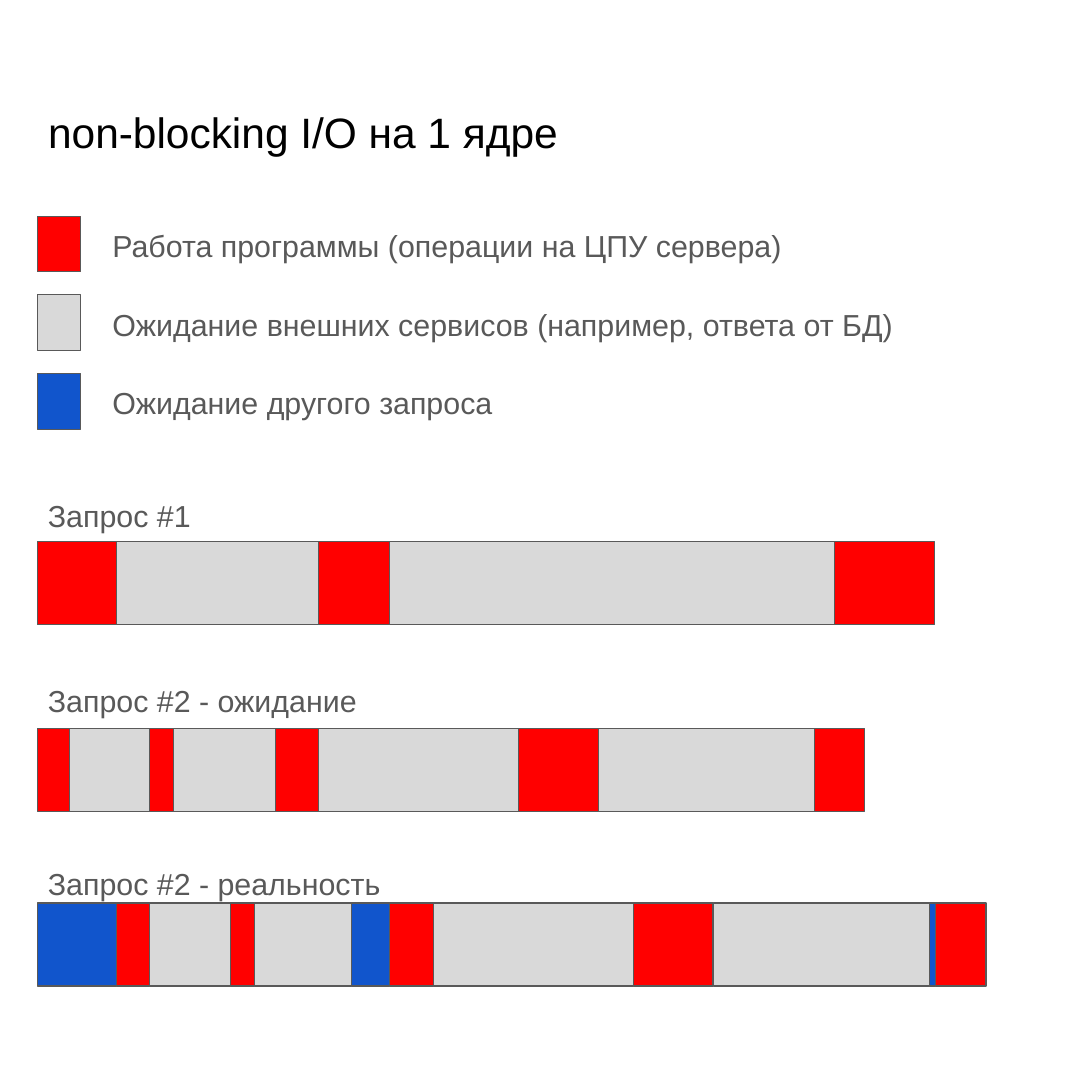
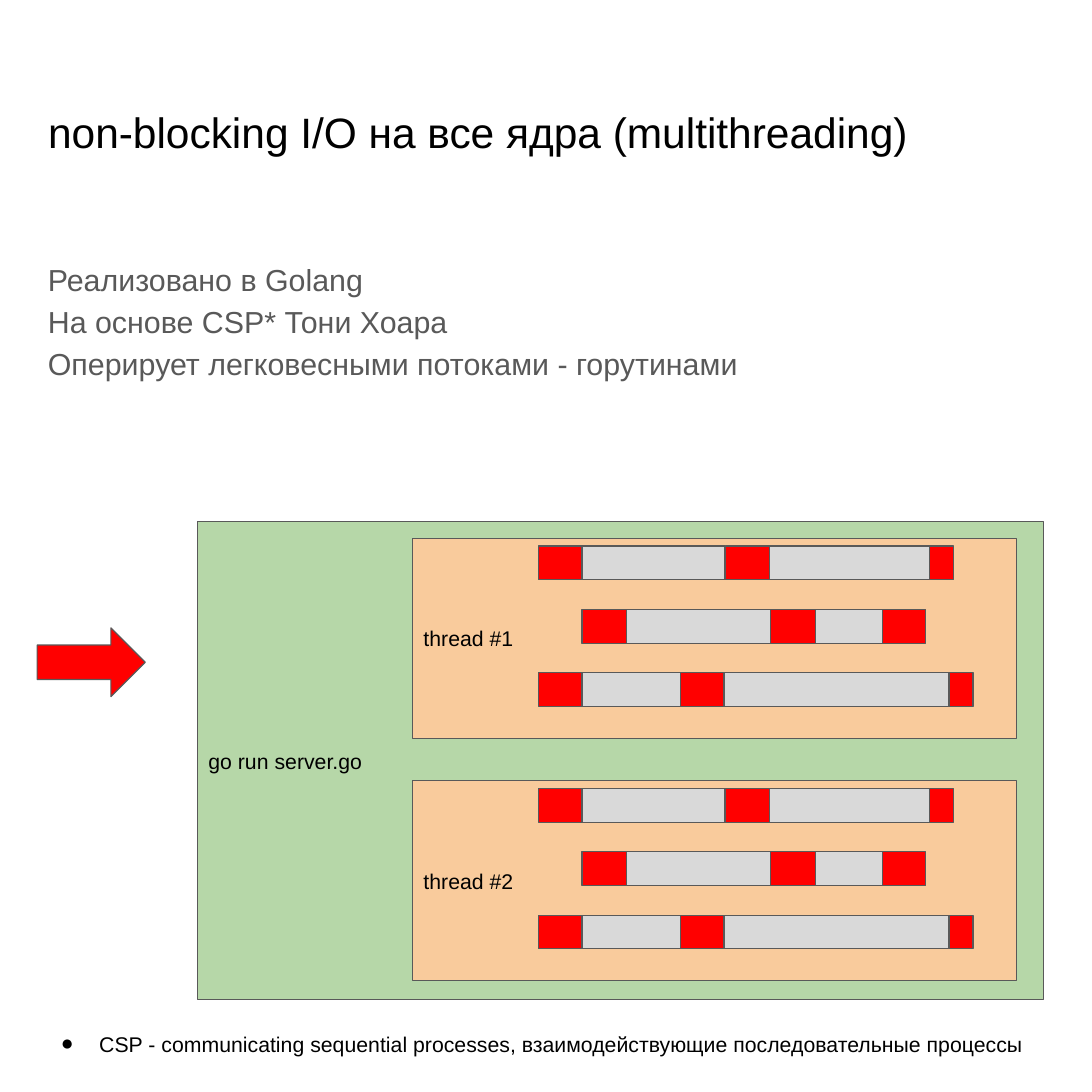
"""Build two slides on non-blocking I/O: request timelines and Go threads."""
import dataclasses
import enum
import itertools

import pptx
import pptx.dml.color
import pptx.enum.shapes
import pptx.enum.text
import pptx.oxml.ns
import pptx.slide
import pptx.text.text
import pptx.util
from lxml import etree

Inches = pptx.util.Inches
Pt = pptx.util.Pt
Preset = pptx.enum.shapes.MSO_SHAPE
Anchor = pptx.enum.text.MSO_ANCHOR


@dataclasses.dataclass(frozen=True)
class Theme:
    font: str = "Arial"
    ink: str = "000000"
    grey: str = "595959"
    work: str = "FF0000"
    wait: str = "D9D9D9"
    queue: str = "1155CC"
    process: str = "B6D7A8"
    thread: str = "F9CB9C"
    title_size: float = 28
    body_size: float = 20
    label_size: float = 14
    line_width: float = 0.75
    inset: float = 0.1


THEME = Theme()


class Phase(enum.Enum):
    WORK = THEME.work
    WAIT = THEME.wait
    QUEUE = THEME.queue


@dataclasses.dataclass(frozen=True)
class Frame:
    left: float
    top: float
    width: float
    height: float

    def format_values(self) -> dict[str, pptx.util.Length]:
        return {name: Inches(value) for name, value in dataclasses.asdict(self).items()}


@dataclasses.dataclass(frozen=True)
class Segment:
    phase: Phase
    width: float


@dataclasses.dataclass(frozen=True)
class Request:
    label: str
    label_top: float
    bar_top: float
    segments: list[Segment]


@dataclasses.dataclass(frozen=True)
class ThreadBar:
    left: float
    segments: list[Segment]


def alternate(*widths: float) -> list[Segment]:
    phases = itertools.cycle((Phase.WORK, Phase.WAIT))
    return [Segment(phase, width) for phase, width in zip(phases, widths)]


MARGIN = 0.34
LEGEND = {
    Phase.WORK: "Работа программы (операции на ЦПУ сервера)",
    Phase.WAIT: "Ожидание внешних сервисов (например, ответа от БД)",
    Phase.QUEUE: "Ожидание другого запроса",
}
REQUESTS = [
    Request("Запрос #1", 4.45, 4.96, alternate(0.73, 1.85, 0.65, 4.07, 0.92)),
    Request("Запрос #2 - ожидание", 6.15, 6.67,
            alternate(0.3, 0.73, 0.22, 0.93, 0.4, 1.83, 0.73, 1.98, 0.46)),
    Request("Запрос #2 - реальность", 7.82, 8.27, [
        Segment(Phase.QUEUE, 0.73), *alternate(0.3, 0.74, 0.22, 0.89),
        Segment(Phase.QUEUE, 0.35), *alternate(0.4, 1.83, 0.73, 1.98),
        Segment(Phase.QUEUE, 0.06), *alternate(0.46),
    ]),
]
THREAD_BARS = [
    ThreadBar(4.93, alternate(0.4, 1.31, 0.41, 1.46, 0.22)),
    ThreadBar(5.33, alternate(0.41, 1.32, 0.41, 0.61, 0.4)),
    ThreadBar(4.93, alternate(0.4, 0.9, 0.4, 2.06, 0.22)),
]


def apply_format(target: object, values: dict[str, object]) -> None:
    for name, value in values.items():
        setattr(target, name, value)


def colour(value: str) -> pptx.dml.color.RGBColor:
    return pptx.dml.color.RGBColor.from_string(value)


def write_text(box: pptx.text.text.TextFrame, text: str, size: float, ink: str,
               anchor: Anchor = Anchor.TOP) -> pptx.text.text._Paragraph:
    sides = ("margin_left", "margin_top", "margin_right", "margin_bottom")
    apply_format(box, dict.fromkeys(sides, Inches(THEME.inset)) | {
        "word_wrap": True,
        "auto_size": pptx.enum.text.MSO_AUTO_SIZE.NONE,
        "vertical_anchor": anchor,
    })
    para = box.paragraphs[0]
    para.text = text
    para.alignment = pptx.enum.text.PP_ALIGN.LEFT
    for span in para.runs:
        apply_format(span.font, {"name": THEME.font, "size": Pt(size)})
        span.font.color.rgb = colour(ink)
    return para


def add_text(page: pptx.slide.Slide, frame: Frame, text: str, size: float = THEME.body_size,
             ink: str = THEME.grey) -> pptx.text.text._Paragraph:
    box = page.shapes.add_textbox(**frame.format_values())
    return write_text(box.text_frame, text, size, ink)


def add_block(page: pptx.slide.Slide, frame: Frame, fill: str, text: str = "",
              preset: Preset = Preset.RECTANGLE) -> None:
    block = page.shapes.add_shape(preset, **frame.format_values())
    block.shadow.inherit = False
    block.fill.solid()
    block.fill.fore_color.rgb = colour(fill)
    block.line.color.rgb = colour(THEME.grey)
    block.line.width = Pt(THEME.line_width)
    if text:
        write_text(block.text_frame, text, THEME.label_size, THEME.ink, Anchor.MIDDLE)


def add_bar(page: pptx.slide.Slide, left: float, top: float, height: float,
            segments: list[Segment]) -> None:
    for segment in segments:
        add_block(page, Frame(left, top, segment.width, height), segment.phase.value)
        left += segment.width


def add_bullet(para: pptx.text.text._Paragraph) -> None:
    qualified = pptx.oxml.ns.qn
    properties = para._p.get_or_add_pPr()
    properties.set("marL", str(Inches(0.5)))
    properties.set("indent", str(Inches(-0.35)))
    bullet_colour = etree.SubElement(properties, qualified("a:buClr"))
    etree.SubElement(bullet_colour, qualified("a:srgbClr"), val=THEME.ink)
    etree.SubElement(properties, qualified("a:buFont"), typeface=THEME.font)
    etree.SubElement(properties, qualified("a:buChar"), char="●")


def add_page(deck: pptx.presentation.Presentation, title: str) -> pptx.slide.Slide:
    page = deck.slides.add_slide(deck.slide_layouts.get_by_name("Title Only"))
    heading = page.shapes.title
    apply_format(heading, Frame(MARGIN, 0.87, 9.32, 1.11).format_values())
    write_text(heading.text_frame, title, THEME.title_size, THEME.ink)
    return page


def build_single_core(deck: pptx.presentation.Presentation) -> None:
    page = add_page(deck, "non-blocking I/O на 1 ядре")
    for index, (phase, meaning) in enumerate(LEGEND.items()):
        top = 1.98 + 0.72 * index
        add_block(page, Frame(MARGIN, top, 0.4, 0.51), phase.value)
        add_text(page, Frame(0.93, top, 8.26, 0.51), meaning)
    for request in REQUESTS:
        add_text(page, Frame(MARGIN, request.label_top, 8.26, 0.51), request.label)
        add_bar(page, MARGIN, request.bar_top, 0.76, request.segments)


def build_all_cores(deck: pptx.presentation.Presentation) -> None:
    page = add_page(deck, "non-blocking I/O на все ядра (multithreading)")
    facts = ("Реализовано в Golang", "На основе CSP* Тони Хоара",
             "Оперирует легковесными потоками - горутинами")
    para = add_text(page, Frame(MARGIN, 2.24, 9.32, 2.19), "\v".join(facts))
    apply_format(para, {"line_spacing": 1.15, "space_after": Pt(16)})
    add_block(page, Frame(1.81, 4.78, 7.75, 4.37), THEME.process, "go run server.go")
    add_block(page, Frame(MARGIN, 5.75, 0.99, 0.63), THEME.work, preset=Preset.RIGHT_ARROW)
    for index in range(2):
        top = 4.93 + 2.22 * index
        add_block(page, Frame(3.78, top, 5.53, 1.83), THEME.thread, f"thread #{index + 1}")
        for row, bar in enumerate(THREAD_BARS):
            add_bar(page, bar.left, top + 0.07 + 0.58 * row, 0.31, bar.segments)
    footnote = "CSP - communicating sequential processes, взаимодействующие последовательные процессы"
    add_bullet(add_text(page, Frame(0.31, 9.34, 9.25, 0.39), footnote,
                        THEME.label_size, THEME.ink))


def main() -> None:
    deck = pptx.Presentation()
    apply_format(deck, {"slide_width": Inches(10), "slide_height": Inches(10)})
    build_single_core(deck)
    build_all_cores(deck)
    deck.save("out.pptx")


if __name__ == "__main__":
    main()
